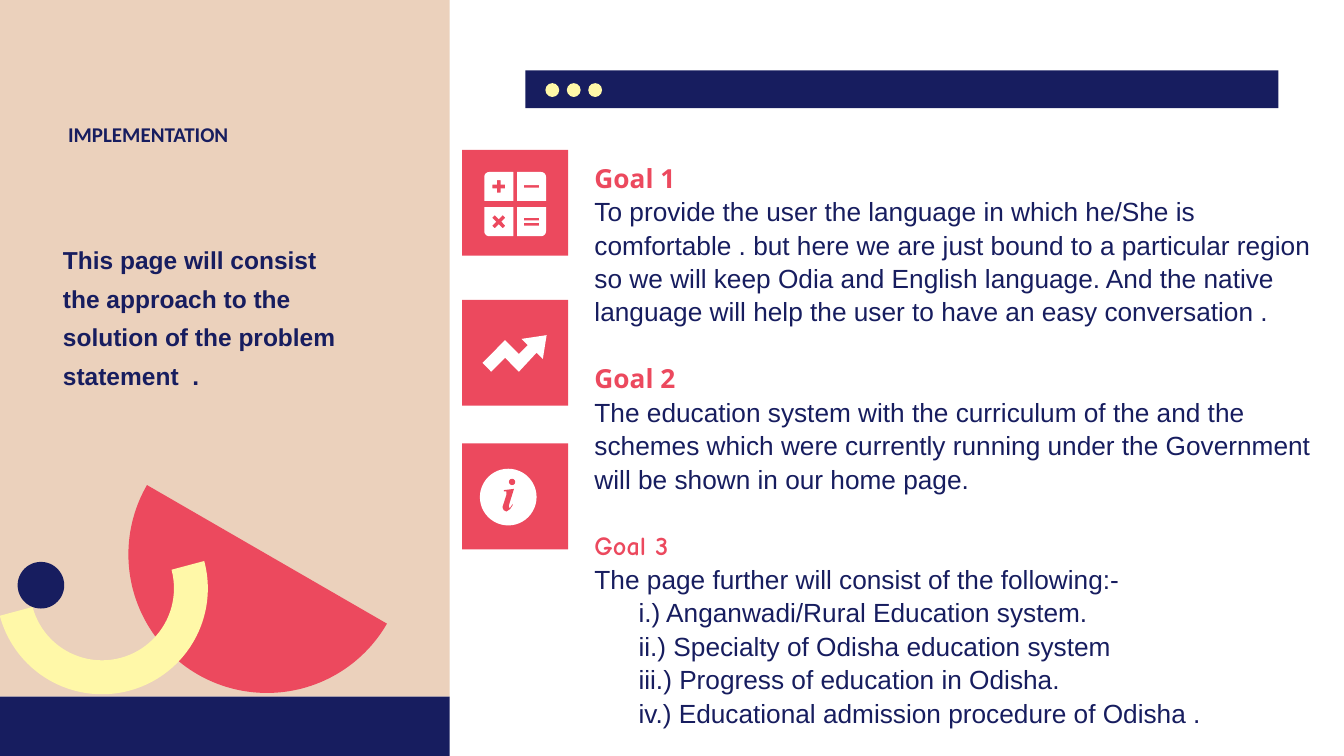
from dataclasses import dataclass
from math import cos, radians, sin
from pptx import Presentation
from pptx.dml.color import RGBColor
from pptx.enum.shapes import MSO_SHAPE as Kind
from pptx.enum.text import MSO_ANCHOR as Anchor, MSO_AUTO_SIZE as Fit, PP_ALIGN as Align
from pptx.util import Inches, Pt

NAVY, RED, SAND = "171D5F", "EC495E", "EBD1BC"
CREAM, WHITE = "FFF8A8", "FFFFFF"
Points = list[tuple[float, float]]


@dataclass
class Goal:
    head: str
    face: str
    body: str
    items: tuple[str, ...] = ()


@dataclass
class Tile:
    x: float
    y: float
    turn: float
    marks: list[Points]
    tilt: float = 0


GOALS = [
    Goal("Goal 1", "Open Sans",
         "To provide the user the language in which he/She is comfortable . but here we are "
         "just bound to a particular region so we will keep Odia and English language. And the "
         "native language will help the user to have an easy conversation ."),
    Goal("Goal 2", "Open Sans",
         "The education system with the curriculum of the and the schemes which were currently "
         "running under the Government will be shown in our home page."),
    Goal("Goal 3", "Comic Neue", "The page further will consist of the following:-",
         ("i.) Anganwadi/Rural Education system.",
          "ii.) Specialty of Odisha education system",
          "iii.) Progress of education in Odisha.",
          "iv.) Educational admission procedure of Odisha .")),
]


def dash(y: float, thick: float) -> Points:
    top, base = y - thick / 2, y + thick / 2
    return [(-0.06, top), (0.06, top), (0.06, base), (-0.06, base)]


def cross(arm: float, thick: float) -> Points:
    half = thick / 2
    side = [(-half, -arm), (half, -arm), (half, -half)]
    return [dot for turn in range(0, 360, 90) for dot in spin(side, turn)]


def spin(points: Points, turn: float, x: float = 0, y: float = 0) -> Points:
    c, s = cos(radians(turn)), sin(radians(turn))
    return [(x + c * a - s * b, y + s * a + c * b) for a, b in points]


TILES = [
    Tile(3.96, 1.48, 270, [cross(0.05, 0.03)]),
    Tile(4.22, 1.48, 0, [dash(0, 0.02)]),
    Tile(3.96, 1.76, 180, [cross(0.06, 0.03)], 45),
    Tile(4.22, 1.76, 90, [dash(-0.02, 0.02), dash(0.02, 0.02)]),
]

TREND = [(4.14, 2.69), (4.19, 2.74), (4.12, 2.81), (4.01, 2.7), (3.83, 2.88), (3.9, 2.95),
         (4.01, 2.84), (4.12, 2.95), (4.26, 2.8), (4.31, 2.85), (4.34, 2.66)]
STEM = [(4.07, 4), (4.07, 4.01), (4.05, 4.04), (4.02, 4.06), (4, 4.05), (3.99, 4.03),
        (3.99, 4.02), (4.02, 3.93), (4.02, 3.9), (4, 3.9), (4, 3.89), (4.08, 3.88),
        (4.04, 4.01), (4.04, 4.03), (4.05, 4.03)]


def tint(code: str) -> RGBColor:
    return RGBColor.from_string(code)


def paint(shape, color: str) -> None:
    shape.shadow.inherit = False
    shape.fill.solid()
    shape.fill.fore_color.rgb = tint(color)
    shape.line.fill.background()


def block(slide, kind, x: float, y: float, w: float, h: float, color: str,
          adjust: tuple[float, ...] = ()) -> None:
    shape = slide.shapes.add_shape(kind, Inches(x), Inches(y), Inches(w), Inches(h))
    for i, value in enumerate(adjust):
        shape.adjustments[i] = value
    paint(shape, color)


def outline(slide, loops: list[Points], color: str) -> None:
    pen = None
    for loop in loops:
        dots = [(Inches(x), Inches(y)) for x, y in loop]
        if pen is None:
            pen = slide.shapes.build_freeform(*dots[0])
        else:
            pen.move_to(*dots[0])
        pen.add_line_segments(dots[1:], close=True)
    paint(pen.convert_to_shape(), color)


def place(shape, x: float, y: float, w: float, h: float):
    shape.left, shape.top = Inches(x), Inches(y)
    shape.width, shape.height = Inches(w), Inches(h)
    frame = shape.text_frame
    frame.word_wrap = True
    frame.auto_size = Fit.NONE
    frame.vertical_anchor = Anchor.TOP
    frame.margin_left = frame.margin_right = frame.margin_bottom = 0
    frame.margin_top = Inches(0.02)
    return frame


def write(frame, text: str, *, size: float = 15, lead: float = 19.1, face: str = "Arial",
          color: str = NAVY, bold: bool = False, gap: float = 0, indent: float = 0) -> None:
    para = frame.add_paragraph() if frame.text else frame.paragraphs[0]
    para.alignment = Align.LEFT
    para.line_spacing = Pt(lead)
    para.space_before = Pt(gap)
    if indent:
        para._p.get_or_add_pPr().set("marL", str(Inches(indent)))
    run = para.add_run()
    run.text = text
    font = run.font
    font.size, font.name, font.bold = Pt(size), face, bold
    font.color.rgb = tint(color)


def draw_panel(slide) -> None:
    block(slide, Kind.RECTANGLE, 0, 0, 3.57, 5.53, SAND)
    block(slide, Kind.RECTANGLE, 0, 5.53, 3.57, 0.47, NAVY)
    block(slide, Kind.CHORD, 1.02, 3.3, 2.2, 2.2, RED, (18, 126))
    block(slide, Kind.BLOCK_ARC, -0.03, 3.83, 1.68, 1.68, CREAM, (207, 99, 0.16))
    block(slide, Kind.OVAL, 0.14, 4.46, 0.37, 0.37, NAVY)


def draw_icons(slide) -> None:
    for y in (1.19, 2.38, 3.52):
        block(slide, Kind.RECTANGLE, 3.67, y, 0.84, 0.84, RED)
    half, bend = 0.23 / 2, 0.04
    curve = spin([(bend * cos(radians(a)), bend * sin(radians(a)))
                  for a in range(-90, 1, 15)], 0, half - bend, bend - half)
    edge = [(-half, -half), *curve, (half, half), (-half, half)]
    loops = []
    for tile in TILES:
        loops.append(spin(edge, tile.turn, tile.x, tile.y))
        loops += [spin(mark, tile.tilt, tile.x, tile.y) for mark in tile.marks]
    outline(slide, loops, WHITE)
    outline(slide, [TREND], WHITE)
    block(slide, Kind.OVAL, 3.81, 3.72, 0.45, 0.45, WHITE)
    outline(slide, [STEM], RED)
    block(slide, Kind.OVAL, 4.04, 3.8, 0.05, 0.05, RED)


def draw_bar(slide) -> None:
    block(slide, Kind.RECTANGLE, 4.17, 0.56, 5.98, 0.3, NAVY)
    for i in range(3):
        block(slide, Kind.OVAL, 4.33 + 0.17 * i, 0.66, 0.11, 0.11, CREAM)


def draw_text(slide) -> None:
    title = slide.shapes.title
    title.element.getparent().append(title.element)
    write(place(title, 0.54, 0.93, 1.99, 0.21), "IMPLEMENTATION",
          size=12, lead=15.3, face="Calibri", bold=True)
    note = slide.shapes.add_textbox(0, 0, 0, 0)
    write(place(note, 0.5, 1.85, 2.27, 1.23),
          "This page will consist the approach to the solution of the problem statement  .",
          size=14, lead=22.1, bold=True)
    frame = place(slide.shapes.add_textbox(0, 0, 0, 0), 4.72, 1.25, 5.83, 4.78)
    for i, goal in enumerate(GOALS):
        write(frame, goal.head, face=goal.face, color=RED, bold=True, gap=19.1 if i else 0)
        write(frame, goal.body)
        for item in goal.items:
            write(frame, item, indent=0.35)


def main() -> None:
    deck = Presentation()
    deck.slide_width, deck.slide_height = Inches(10.67), Inches(6)
    slide = deck.slides.add_slide(deck.slide_layouts[5])
    draw_panel(slide)
    draw_icons(slide)
    draw_bar(slide)
    draw_text(slide)
    deck.save("out.pptx")


if __name__ == "__main__":
    main()
